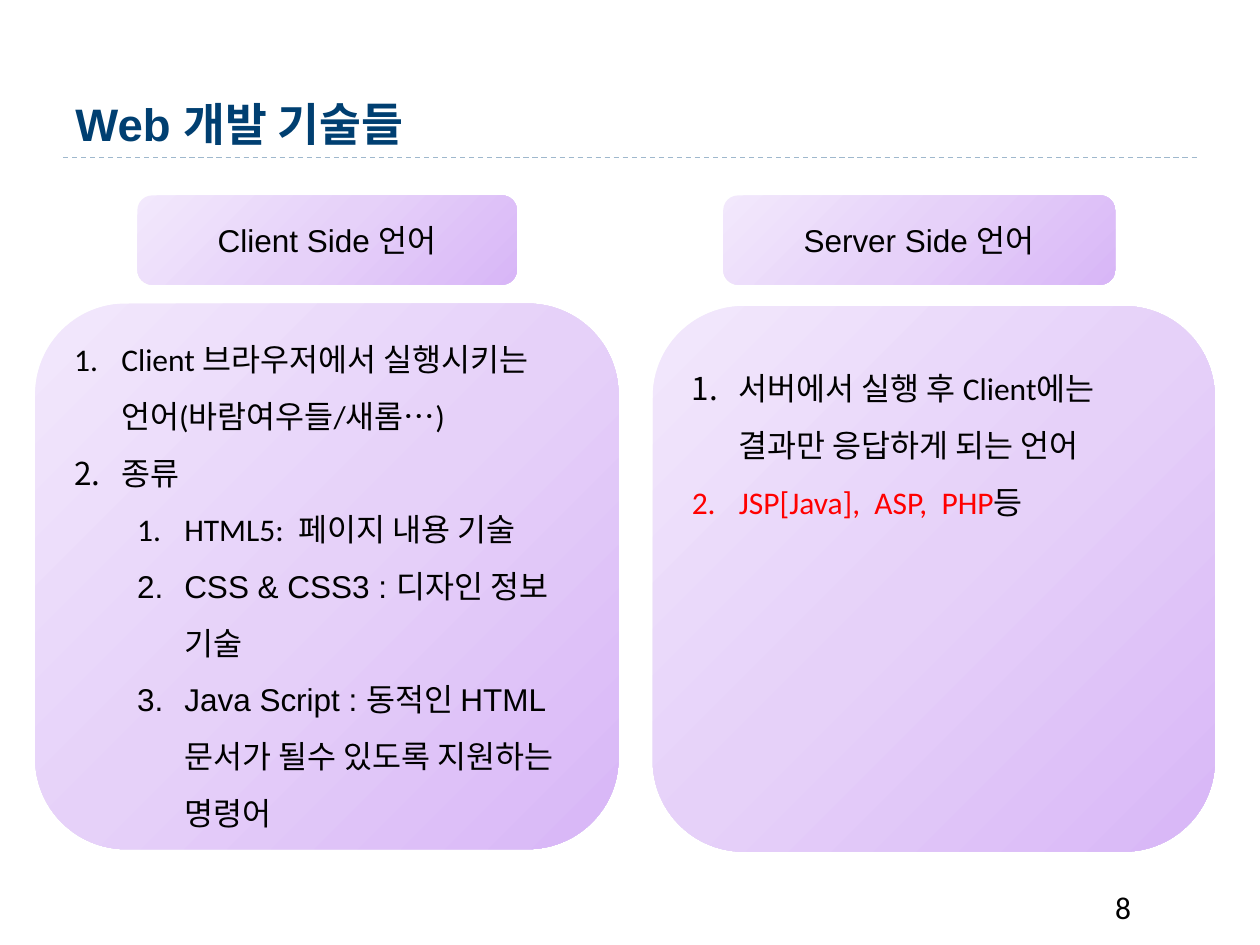
from lxml.etree import SubElement
from pptx import Presentation
from pptx.dml.color import RGBColor
from pptx.enum.dml import MSO_LINE
from pptx.enum.shapes import MSO_CONNECTOR, MSO_SHAPE
from pptx.enum.text import MSO_ANCHOR, PP_ALIGN
from pptx.oxml import parse_xml
from pptx.oxml.ns import nsdecls, qn
from pptx.util import Cm, Pt

BLACK, RED, NAVY, RULE_GRAY = "000000", "FF0000", "003F71", "9FB8CD"
GRADIENT_STOPS = [(0, "D8B6F7"), (50, "E6D1F9"), (100, "F2E8FC")]
HANGING = 0.95

# Each item: (level, font, [(text, colour), ...])
CLIENT_ITEMS = [
    (0, "Calibri", [("Client 브라우저에서 실행시키는 언어(바람여우들/새롬…)", BLACK)]),
    (0, "Calibri", [("종류", BLACK)]),
    (1, "Calibri", [("HTML5:  페이지 내용 기술", BLACK)]),
    (1, "Arial", [("CSS & CSS3 : 디자인 정보 기술", BLACK)]),
    (1, "Arial", [("Java Script : 동적인 HTML문서가 될수 있도록 지원하는 명령어", BLACK)]),
]
SERVER_ITEMS = [
    (0, "Calibri", [("서버에서 실행 후 Client에는 결과만 응답하게 되는 언어", BLACK)]),
    (0, "Calibri", [("JSP[Java],  ASP,  PHP", RED), ("등", BLACK)]),
]


def color(hex_value):
    return RGBColor.from_string(hex_value)


def set_format(target, values):
    for name, value in values.items():
        setattr(target, name, value)


def add_run(paragraph, text, font, hex_color=BLACK, size=18, bold=False):
    run = paragraph.add_run()
    run.text = text
    set_format(run.font, {"name": font, "size": Pt(size), "bold": bold})
    run.font.color.rgb = color(hex_color)


def add_label(slide, box, text, anchor, **run_format):
    shape = slide.shapes.add_textbox(*map(Cm, box))
    set_format(shape.text_frame, {"word_wrap": True, "vertical_anchor": anchor})
    add_run(shape.text_frame.paragraphs[0], text, **run_format)


def add_dashed_rule(slide, left, right, top):
    rule = slide.shapes.add_connector(
        MSO_CONNECTOR.STRAIGHT, Cm(left), Cm(top), Cm(right), Cm(top))
    set_format(rule.line, {"width": Pt(0.75), "dash_style": MSO_LINE.DASH})
    rule.line.color.rgb = color(RULE_GRAY)
    SubElement(rule._element.spPr, qn("a:effectLst"))


def fill_from_corner(shape):
    """Radial gradient centred on the bottom right corner."""
    stops = "".join(
        f'<a:gs pos="{position * 1000}"><a:srgbClr val="{value}"/></a:gs>'
        for position, value in GRADIENT_STOPS)
    gradient = parse_xml(
        f'<a:gradFill {nsdecls("a")} rotWithShape="1"><a:gsLst>{stops}</a:gsLst>'
        '<a:path path="circle"><a:fillToRect l="100000" t="100000"/></a:path>'
        '<a:tileRect r="-100000" b="-100000"/></a:gradFill>')
    shape.fill.background()
    properties = shape._element.spPr
    properties.replace(properties.find(qn("a:noFill")), gradient)


def add_rounded_box(slide, box, anchor=MSO_ANCHOR.MIDDLE):
    shape = slide.shapes.add_shape(MSO_SHAPE.ROUNDED_RECTANGLE, *map(Cm, box))
    shape.shadow.inherit = False
    shape.line.fill.background()
    fill_from_corner(shape)
    set_format(shape.text_frame, {"word_wrap": True, "vertical_anchor": anchor})
    return shape


def add_heading(slide, box, text):
    paragraph = add_rounded_box(slide, box).text_frame.paragraphs[0]
    paragraph.alignment = PP_ALIGN.CENTER
    add_run(paragraph, text, "Arial")


def number_paragraph(paragraph, level):
    properties = paragraph._p.get_or_add_pPr()
    properties.set("marL", str(Cm(HANGING + 1.27 * level)))
    properties.set("indent", str(-Cm(HANGING)))
    SubElement(properties, qn("a:buFont"), typeface="+mj-lt")
    SubElement(properties, qn("a:buAutoNum"), type="arabicPeriod")


def add_numbered_panel(slide, box, items, anchor, margin_top):
    frame = add_rounded_box(slide, box, anchor).text_frame
    frame.margin_top = Cm(margin_top)
    for index, (level, font, runs) in enumerate(items):
        paragraph = frame.add_paragraph() if index else frame.paragraphs[0]
        set_format(paragraph, {"level": level, "line_spacing": 1.5,
                               "alignment": PP_ALIGN.LEFT})
        number_paragraph(paragraph, level)
        for text, hex_color in runs:
            add_run(paragraph, text, font, hex_color)


def main():
    presentation = Presentation()
    set_format(presentation, {"slide_width": Cm(25.4), "slide_height": Cm(19.05)})
    slide = presentation.slides.add_slide(presentation.slide_layouts[6])

    add_dashed_rule(slide, 1.27, 24.13, 3.18)
    add_label(slide, (1.27, 0.43, 22.86, 2.74), "Web 개발 기술들", MSO_ANCHOR.BOTTOM,
              font="Arial", hex_color=NAVY, size=26, bold=True)
    add_label(slide, (22.23, 17.78, 2.1, 1.02), "8", MSO_ANCHOR.TOP, font="Calibri")

    add_heading(slide, (14.58, 3.94, 7.9, 1.8), "Server Side 언어")
    add_heading(slide, (2.77, 3.94, 7.65, 1.8), "Client Side 언어")
    add_numbered_panel(slide, (13.16, 6.17, 11.33, 11), SERVER_ITEMS,
                       MSO_ANCHOR.TOP, margin_top=0.36)
    add_numbered_panel(slide, (0.71, 6.12, 11.76, 11), CLIENT_ITEMS,
                       MSO_ANCHOR.MIDDLE, margin_top=0.13)

    presentation.save("out.pptx")


if __name__ == "__main__":
    main()
